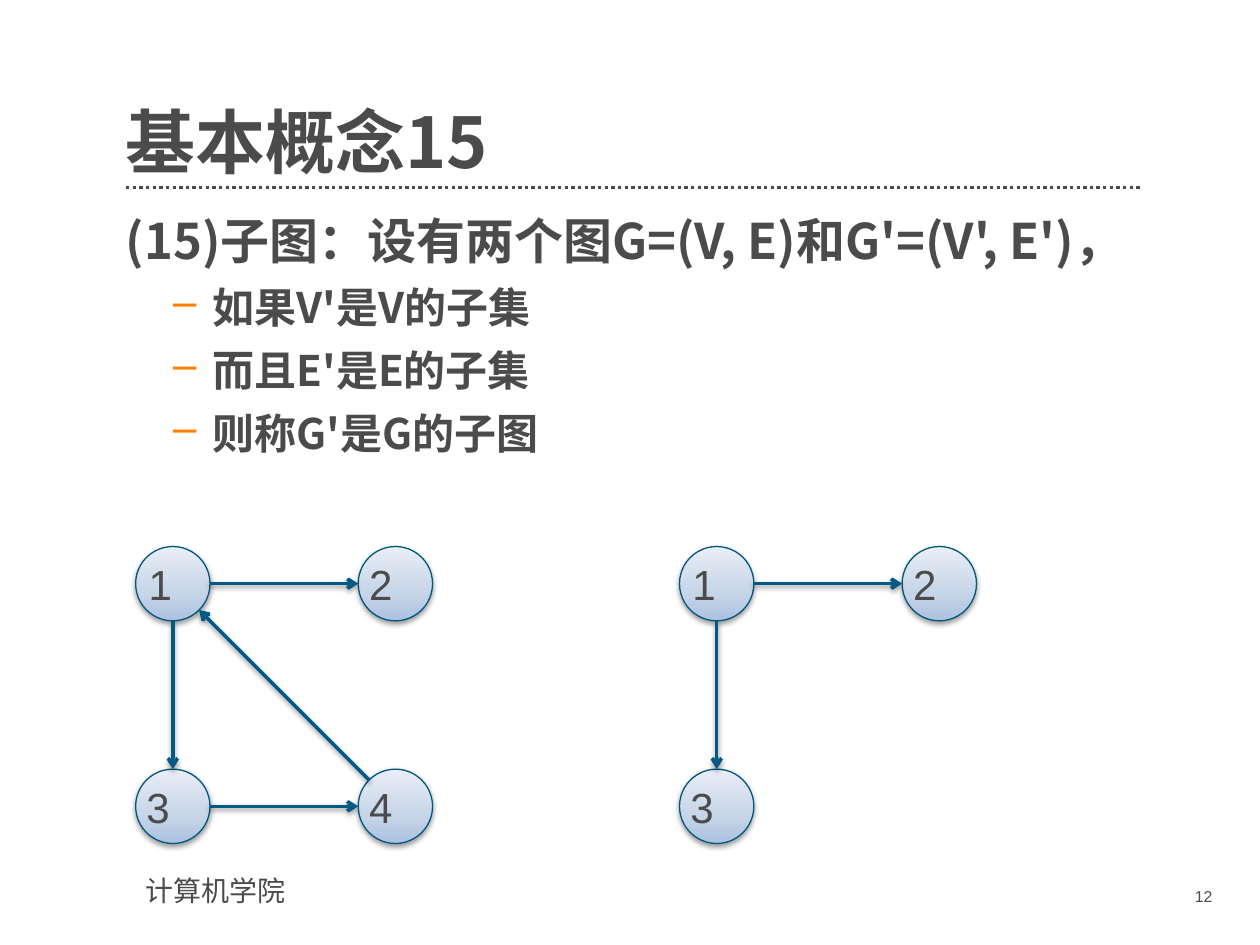
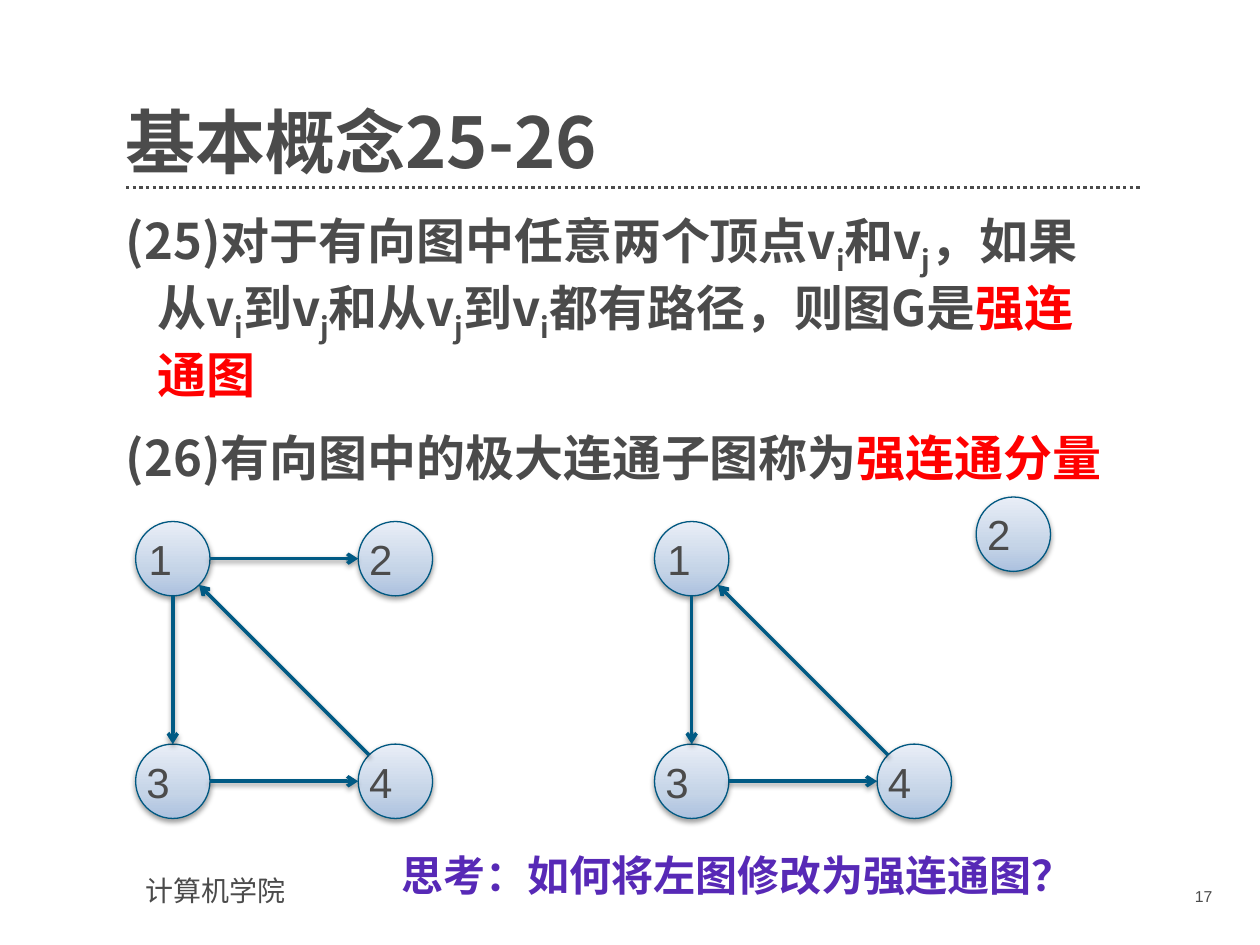
import math
from typing import NamedTuple

import lxml.etree
import pptx
import pptx.dml.color
import pptx.enum.dml
import pptx.enum.shapes
import pptx.enum.text
import pptx.oxml.ns
import pptx.util

Pt = pptx.util.Pt
qn = pptx.oxml.ns.qn
ALIGN = pptx.enum.text.PP_ALIGN
ANCHOR = pptx.enum.text.MSO_ANCHOR

GREY = "4B4B4B"
RED = "FF0000"
ORANGE = "FF8000"
RIM = "005881"
ARROW = "005A84"
BLUES = ((0, "ACC1DF"), (35, "C5D4E7"), (100, "E9EEF7"))
PURPLES = ((0, "9A7CE4"), (75, "5729B6"), (100, "4200A0"))
SANS = "Arial"
HAN = "Noto Sans CJK SC"
SIZE = 42.5    # node diameter
PITCH = 127.2  # distance between node corners in a graph


class Run(NamedTuple):
    words: str
    colour: str = GREY
    low: bool = False


class Para(NamedTuple):
    runs: tuple[Run, ...]
    size: float
    before: float = 0
    left: float = 0
    hang: float = 0
    dash: bool = False


class Graph(NamedTuple):
    left: float
    top: float
    nodes: dict[str, tuple[float, float]]  # offsets in pitches
    edges: tuple[str, ...]


class Page(NamedTuple):
    title: str
    number: str
    width: float
    body: tuple[Para, ...]
    graphs: tuple[Graph, ...]
    ask: str = ""


def paint(code: str):
    return pptx.dml.color.RGBColor.from_string(code)


def child(parent, tag: str, **attrs):
    node = lxml.etree.SubElement(parent, qn(tag))
    for key, value in attrs.items():
        node.set(key, str(value))
    return node


def blend(parent, index: int, stops, angle: int) -> None:
    """Insert a linear gradient fill at the given child index."""
    fill = child(parent, "a:gradFill", rotWithShape=1)
    group = child(fill, "a:gsLst")
    for place, code in stops:
        stop = child(group, "a:gs", pos=place * 1000)
        child(stop, "a:srgbClr", val=code)
    child(fill, "a:lin", ang=angle * 60000, scaled=0)
    parent.insert(index, fill)


def shade(shape, soft: bool = True) -> None:
    """Replace the theme shadow by a soft one, or by none."""
    effects = child(shape._element.spPr, "a:effectLst")
    if soft:
        drop = child(effects, "a:outerShdw", blurRad=Pt(3.1), dist=Pt(1.6),
                     dir=90 * 60000, rotWithShape=0)
        black = child(drop, "a:srgbClr", val="000000")
        child(black, "a:alpha", val=38000)


def plain(words: str, size: float, **form) -> Para:
    return Para((Run(words),), size, **form)


def write(shape, paras, *, font=SANS, bold=False, align=ALIGN.LEFT,
          anchor=ANCHOR.TOP, inset=(7.2, 3.6, 7.2, 3.6), wrap=True,
          spacing=None, stops=None) -> None:
    frame = shape.text_frame
    frame.word_wrap = wrap
    frame.vertical_anchor = anchor
    (frame.margin_left, frame.margin_top,
     frame.margin_right, frame.margin_bottom) = map(Pt, inset)
    for index, para in enumerate(paras):
        line = frame.add_paragraph() if index else frame.paragraphs[0]
        line.alignment = align
        line.line_spacing = spacing
        line.space_before = Pt(para.before)
        props = line._p.get_or_add_pPr()
        props.set("marL", str(Pt(para.left)))
        props.set("indent", str(Pt(-para.hang)))
        if para.dash:
            child(child(props, "a:buClr"), "a:srgbClr", val=ORANGE)
            child(props, "a:buChar", char="–")
        else:
            child(props, "a:buNone")
        for part in para.runs:
            run = line.add_run()
            run.text = part.words
            run.font.size = Pt(para.size)
            run.font.bold = bold
            run.font.name = font
            look = run._r.get_or_add_rPr()
            child(look, "a:ea", typeface=HAN)
            if part.low:
                look.set("baseline", "-25000")
            if stops:
                blend(look, 0, stops, 90)
            else:
                run.font.color.rgb = paint(part.colour)


def box(slide, left: float, top: float, width: float, height: float):
    return slide.shapes.add_textbox(Pt(left), Pt(top), Pt(width), Pt(height))


def rule(slide, start, end, code: str, width: float):
    line = slide.shapes.add_connector(
        pptx.enum.shapes.MSO_CONNECTOR.STRAIGHT,
        *(Pt(round(value, 2)) for value in (*start, *end)))
    line.line.color.rgb = paint(code)
    line.line.width = Pt(width)
    return line


def circle(slide, name: str, left: float, top: float) -> None:
    disc = slide.shapes.add_shape(pptx.enum.shapes.MSO_SHAPE.OVAL,
                                  Pt(left), Pt(top), Pt(SIZE), Pt(SIZE))
    blend(disc._element.spPr, 2, BLUES, 270)
    disc.line.color.rgb = paint(RIM)
    disc.line.width = Pt(0.75)
    shade(disc)
    write(disc, [plain(name, 24, before=12)], anchor=ANCHOR.MIDDLE,
          align=ALIGN.CENTER if name == "1" else ALIGN.LEFT,
          inset=(0, 0, 14.4, 0))


def arrow(slide, tail, head) -> None:
    """Draw an arrow between the rims of two nodes, given their centres."""
    gap_x, gap_y = head[0] - tail[0], head[1] - tail[1]
    ratio = SIZE / 2 / math.hypot(gap_x, gap_y)
    step_x, step_y = gap_x * ratio, gap_y * ratio
    line = rule(slide, (tail[0] + step_x, tail[1] + step_y),
                (head[0] - step_x, head[1] - step_y), ARROW, 2)
    child(line.line._get_or_add_ln(), "a:tailEnd", type="arrow")
    shade(line)


def draw(slide, graph: Graph) -> None:
    mids = {}
    for name, (col, row) in graph.nodes.items():
        left, top = graph.left + col * PITCH, graph.top + row * PITCH
        circle(slide, name, left, top)
        mids[name] = (left + SIZE / 2, top + SIZE / 2)
    for tail, head in graph.edges:
        arrow(slide, mids[tail], mids[head])


def build(deck, page: Page) -> None:
    slide = deck.slides.add_slide(deck.slide_layouts[6])
    line = rule(slide, (72, 107.3), (652.3, 107.3), GREY, 1.9)
    line.line.dash_style = pptx.enum.dml.MSO_LINE.ROUND_DOT
    shade(line, soft=False)
    write(box(slide, 76.3, 495.4, 198.7, 26.6), [plain("计算机学院", 16)])
    write(box(slide, 72, 39.6, 580.3, 65.5), [plain(page.title, 40)],
          font=HAN, bold=True, anchor=ANCHOR.BOTTOM, inset=(0, 0, 0, 0),
          spacing=0.9)
    write(box(slide, 72, 120.2, page.width, 360), page.body,
          font=HAN, bold=True, inset=(0, 0, 14.4, 0))
    write(box(slide, 628.6, 503.3, 71.3, 20.9), [plain(page.number, 9)],
          align=ALIGN.RIGHT)
    for graph in page.graphs:
        draw(slide, graph)
    if page.ask:
        write(box(slide, 218.9, 481.7, 404.6, 36), [plain(page.ask, 24)],
              bold=True, align=ALIGN.CENTER, wrap=False, stops=PURPLES)


def point(*runs: Run) -> Para:
    return Para(runs, 28, before=14, left=18, hang=18)


def item(words: str) -> Para:
    return plain(words, 24, before=7.2, left=49.5, hang=22.5, dash=True)


def low(words: str) -> Run:
    return Run(words, low=True)


SQUARE = {"1": (0, 0), "2": (1, 0), "3": (0, 1), "4": (1, 1)}
TREE = {name: SQUARE[name] for name in "123"}
SPLIT = SQUARE | {"2": (1.445, -0.11)}
LOOP = ("13", "34", "41")

PAGES = (
    Page("基本概念15", "12", 626.4,
         (point(Run("(15)子图：设有两个图G=(V, E)和G'=(V', E')，")),
          item("如果V'是V的子集"),
          item("而且E'是E的子集"),
          item("则称G'是G的子图")),
         (Graph(77.5, 312.3, SQUARE, ("12", *LOOP)),
          Graph(388.3, 312.3, TREE, ("12", "13")))),
    Page("基本概念25-26", "17", 580.3,
         (point(Run("(25)对于有向图中任意两个顶点v"), low("i"),
                Run("和v"), low("j"), Run("，如果从v"), low("i"),
                Run("到v"), low("j"), Run("和从v"), low("j"),
                Run("到v"), low("i"), Run("都有路径，则图G是"),
                Run("强连通图", RED)),
          point(Run("(26)有向图中的极大连通子图称为"),
                Run("强连通分量", RED))),
         (Graph(77.5, 298, SQUARE, ("12", *LOOP)),
          Graph(374, 298, SPLIT, LOOP)),
         "思考：如何将左图修改为强连通图？"),
)


def main() -> None:
    deck = pptx.Presentation()
    deck.slide_width, deck.slide_height = Pt(720), Pt(540)
    for page in PAGES:
        build(deck, page)
    deck.save("out.pptx")


if __name__ == "__main__":
    main()
